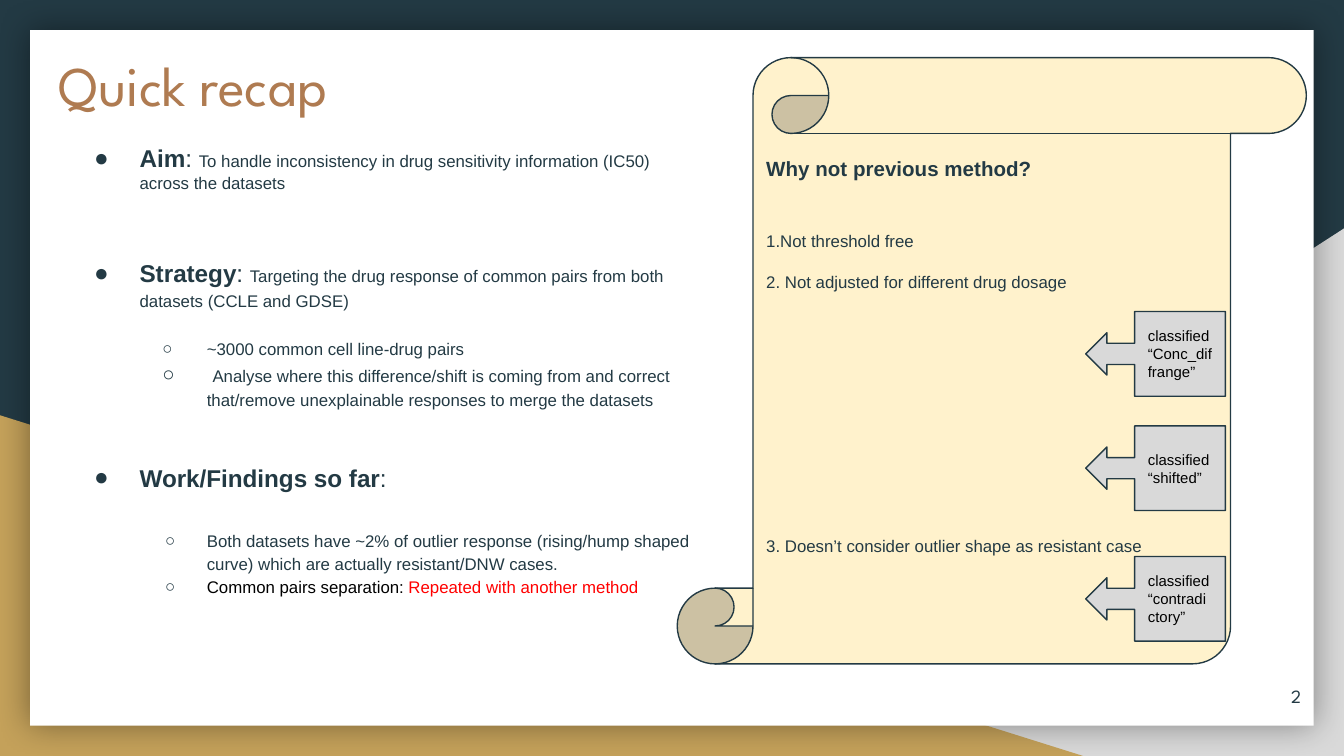
from lxml import etree
from pptx import Presentation
from pptx.dml.color import RGBColor
from pptx.enum.shapes import MSO_SHAPE
from pptx.enum.text import MSO_ANCHOR, PP_ALIGN
from pptx.oxml.ns import qn
from pptx.util import Cm, Pt

TRIANGLE = MSO_SHAPE.RIGHT_TRIANGLE
RECTANGLE = MSO_SHAPE.RECTANGLE
SCROLL = MSO_SHAPE.VERTICAL_SCROLL
CALLOUT = MSO_SHAPE.LEFT_ARROW_CALLOUT
TOP, MIDDLE = MSO_ANCHOR.TOP, MSO_ANCHOR.MIDDLE
LEFT, RIGHT = PP_ALIGN.LEFT, PP_ALIGN.RIGHT

INK, GOLD, GREY, WHITE = "233A44", "C4A15A", "D9D9D9", "FFFFFF"
BROWN, CREAM, BLACK, RED = "AF7B51", "FFF2CC", "000000", "FF0000"
BODY_FONT, HEAD_FONT = "Arial", "League Spartan"

SMALL = {"size": 9}
PLAIN = {"size": 13}
BOLD = {"size": 13, "bold": True}
TOPIC = {"bullet": "●", "margin": 1.27, "hang": 0.86}
DETAIL = {"bullet": "○", "margin": 2.54, "hang": 0.84}
FINDING = {**DETAIL, "hang": 0.79}

RECAP = [
    ({**TOPIC, "spacing": 1.0}, 0, [
        ("Aim", BOLD), (": ", PLAIN),
        ("To handle inconsistency in drug sensitivity information (IC50) across the datasets", SMALL)]),
    (TOPIC, 33, [
        ("Strategy", BOLD), (": ", PLAIN),
        ("Targeting the drug response of common pairs from both datasets (CCLE and GDSE)", SMALL)]),
    (DETAIL, 13, [("~3000 common cell line-drug pairs", SMALL)]),
    (DETAIL, 0, [
        (" ", {"size": 11}),
        ("Analyse where this difference/shift is coming from and correct "
         "that/remove unexplainable responses to merge the datasets", SMALL)]),
    (TOPIC, 26, [("Work/Findings so far", BOLD), (":", PLAIN)]),
    (FINDING, 19, [
        ("Both datasets have ~2% of outlier response (rising/hump shaped curve) "
         "which are actually resistant/DNW cases.", SMALL)]),
    (FINDING, 0, [
        ("Common pairs separation:", {**SMALL, "color": BLACK}),
        (" Repeated with another method", {**SMALL, "color": RED})]),
]
REASONS = [
    ("Why not previous method?", 0, {"size": 11, "bold": True}),
    ("1.Not threshold free", 27, SMALL),
    ("2. Not adjusted for different drug dosage", 11, SMALL),
    ("3. Doesn’t consider outlier shape as resistant case", 130.5, SMALL),
]
CLASSES = [("classified “Conc_diffrange”", 4.8),
           ("classified “shifted”", 6.96),
           ("classified “contradictory”", 9.43)]


def rgb(value):
    """Turn a hex string into a colour."""
    return RGBColor.from_string(value)


def add_span(para, text, look):
    """Add a run with the given font values."""
    span = para.add_run()
    span.text = text
    values = {"name": BODY_FONT, "bold": False, **look, "size": Pt(look["size"])}
    span.font.color.rgb = rgb(values.pop("color", INK))
    for name, value in values.items():
        setattr(span.font, name, value)


def set_frame(shape, anchor=TOP, top=0.25):
    """Set wrapping, anchor and insets, and return the text frame."""
    values = {"word_wrap": True, "vertical_anchor": anchor, "margin_top": Cm(top),
              "margin_left": Cm(0.25), "margin_right": Cm(0.25), "margin_bottom": Cm(0.25)}
    for name, value in values.items():
        setattr(shape.text_frame, name, value)
    return shape.text_frame


def next_para(frame, index, before=0):
    """Return the paragraph at the index with its space before."""
    para = frame.add_paragraph() if index else frame.paragraphs[0]
    para.alignment = LEFT
    para.space_before = Pt(before)
    return para


def add_bullet(para, style):
    """Give a paragraph a hanging bullet."""
    props = para._p.get_or_add_pPr()
    props.set("marL", str(Cm(style["margin"])))
    props.set("indent", str(-Cm(style["hang"])))
    tint = etree.SubElement(props, qn("a:buClr"))
    etree.SubElement(tint, qn("a:srgbClr"), val=INK)
    etree.SubElement(props, qn("a:buFont"), typeface=BODY_FONT)
    etree.SubElement(props, qn("a:buChar"), char=style["bullet"])


def add_panel(page, kind, box, fill, line=None):
    """Add a filled shape with an optional outline."""
    shape = page.shapes.add_shape(kind, *map(Cm, box))
    shape.shadow.inherit = False
    shape.fill.solid()
    shape.fill.fore_color.rgb = rgb(fill)
    if line:
        shape.line.color.rgb = rgb(line)
        shape.line.width = Pt(0.75)
    else:
        shape.line.fill.background()
    return shape


def add_backdrop(page, box):
    """Draw the corner triangles and the white sheet with its glow."""
    left, top, width, height = box
    page.background.fill.solid()
    page.background.fill.fore_color.rgb = rgb(INK)
    corner = add_panel(page, TRIANGLE, (left + width - 15.44, top + height - 9.97, 15.44, 9.97), GREY)
    corner._element.spPr.find(qn("a:xfrm")).set("flipH", "1")
    add_panel(page, TRIANGLE, (left, top + height - 6.44, 20.47, 6.44), GOLD)
    sheet = add_panel(page, RECTANGLE, (left + 0.57, top + 0.57, width - 1.14, height - 1.14), WHITE)
    effects = sheet._element.spPr.find(qn("a:effectLst"))
    shadow = etree.SubElement(effects, qn("a:outerShdw"), blurRad=str(Pt(18)), algn="ctr", rotWithShape="0")
    tint = etree.SubElement(shadow, qn("a:srgbClr"), val=BLACK)
    etree.SubElement(tint, qn("a:alpha"), val="40000")


def add_label(page, box, text, look, anchor=TOP, align=LEFT):
    """Add a one-line text box."""
    frame = set_frame(page.shapes.add_textbox(*map(Cm, box)), anchor)
    para = next_para(frame, 0)
    para.alignment = align
    add_span(para, text, {"name": HEAD_FONT, **look})


def add_recap(page, box):
    """Add the bulleted recap."""
    frame = set_frame(page.shapes.add_textbox(*map(Cm, box)))
    for index, (style, before, spans) in enumerate(RECAP):
        para = next_para(frame, index, before)
        para.line_spacing = style.get("spacing", 1.15)
        add_bullet(para, style)
        for text, look in spans:
            add_span(para, text, look)


def add_scroll(page, box):
    """Add the scroll of reasons and its callouts."""
    left, top, width, height = box
    scroll = add_panel(page, SCROLL, box, CREAM, INK)
    frame = set_frame(scroll, top=0.42)
    for index, (text, before, look) in enumerate(REASONS):
        add_span(next_para(frame, index, before), text, look)
    for text, offset in CLASSES:
        callout = add_panel(page, CALLOUT, (left + width - 4.17, top + offset, 2.64, 1.6), GREY, INK)
        for index, value in enumerate((0.25, 0.25, 0.25, 0.65)):
            callout.adjustments[index] = value
        add_span(next_para(set_frame(callout, MIDDLE), 0), text, {"size": 8, "color": BLACK})


def main():
    """Build and save the deck."""
    deck = Presentation()
    deck.slide_width, deck.slide_height = Cm(25.4), Cm(14.29)
    page = deck.slides.add_slide(deck.slide_layouts[6])
    add_backdrop(page, (0, 0, 25.4, 14.29))
    add_label(page, (0.86, 0.71, 20.65, 1.83), "Quick recap", {"size": 30, "color": BROWN})
    add_recap(page, (1.12, 2.46, 12.27, 10.62))
    add_label(page, (23.32, 12.62, 1.52, 1.09), "2", {"size": 10}, MIDDLE, RIGHT)
    add_scroll(page, (12.8, 1.09, 11.89, 11.46))
    deck.save("out.pptx")


if __name__ == "__main__":
    main()
